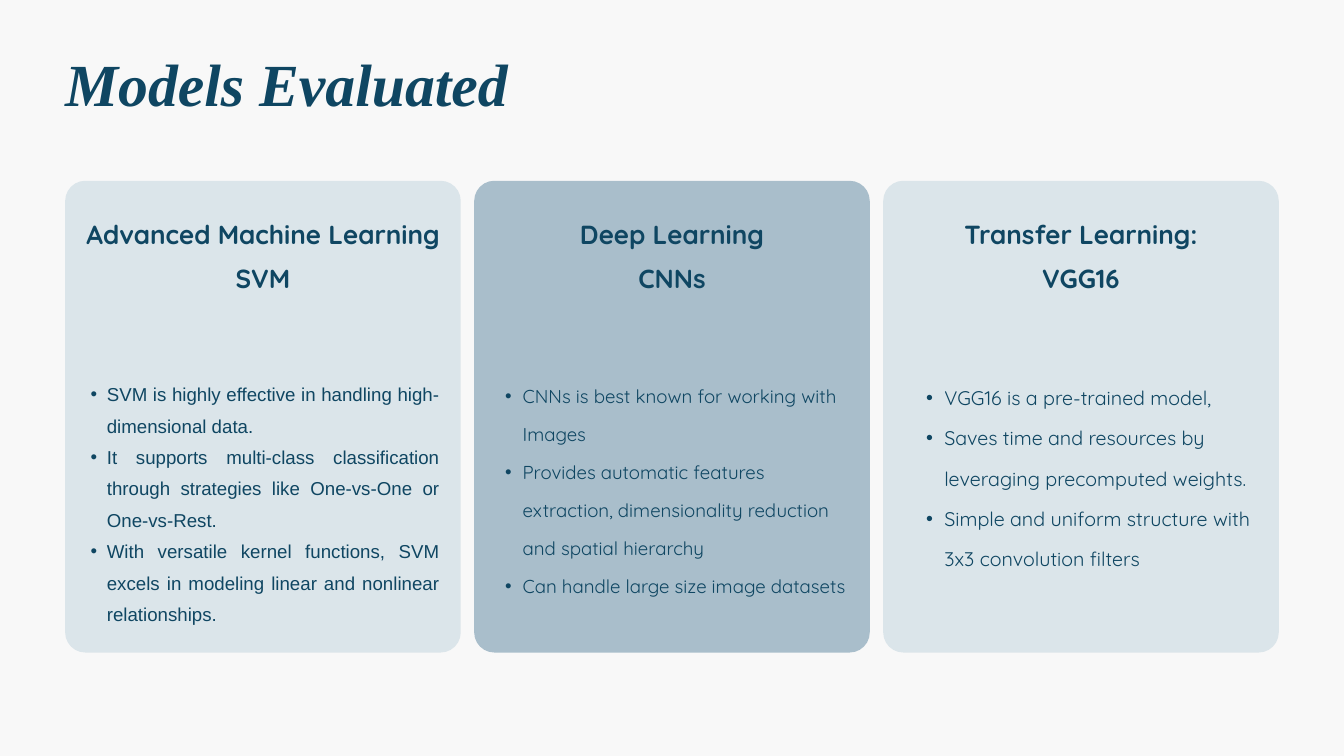
from dataclasses import dataclass

from lxml import etree
from pptx import Presentation
from pptx.dml.color import RGBColor
from pptx.enum.shapes import MSO_SHAPE
from pptx.enum.text import MSO_ANCHOR, MSO_AUTO_SIZE, PP_ALIGN
from pptx.oxml.ns import qn
from pptx.util import Inches, Pt

ROUNDED = MSO_SHAPE.ROUNDED_RECTANGLE
LEFT, CENTER, JUSTIFY = PP_ALIGN.LEFT, PP_ALIGN.CENTER, PP_ALIGN.JUSTIFY
TOP = MSO_ANCHOR.TOP
NO_AUTOFIT = MSO_AUTO_SIZE.NONE

COLORS = {"background": "F8F8F8", "ink": "0F4662", "light": "DBE5EA", "strong": "A9BECB"}

SLIDE_WIDTH, SLIDE_HEIGHT = 20, 11.25
MARGIN, GAP = 0.97, 0.2
CARD_TOP, CARD_HEIGHT = 2.69, 7.02
CARD_RADIUS = 0.3
PADDING = 0.15
HEADING_TOP, HEADING_HEIGHT = 0.38, 1.08
COMPARISON_LAYOUT = 4


@dataclass
class Model:
    heading: list
    points: list
    fill: str
    list_box: tuple  # left, top, width, height from the card's corner
    indent: tuple  # text margin, bullet offset
    font: str = "Quicksand"
    size: float = 20
    spacing: float = 1.7
    align: PP_ALIGN = LEFT


MODELS = [
    Model(
        ["Advanced Machine Learning SVM"],
        ["SVM is highly effective in handling high-dimensional data.",
         "It supports multi-class classification through strategies like One-vs-One or One-vs-Rest.",
         "With versatile kernel functions, SVM excels in modeling linear and nonlinear relationships."],
        "light", (PADDING, 2.88, 5.42, 3.47), (0.47, -0.24), "Arial", 20, 1.4, JUSTIFY),
    Model(
        ["Deep Learning", "CNNs"],
        ["CNNs is best known for working with Images",
         "Provides automatic features extraction, dimensionality reduction and spatial hierarchy",
         "Can handle large size image datasets"],
        "strong", (PADDING, 2.8, 5.58, 3.2), (0.57, -0.26)),
    Model(
        ["Transfer Learning:", "VGG16"],
        ["VGG16 is a pre-trained model,",
         "Saves time and resources by leveraging precomputed weights.",
         "Simple and uniform structure with 3x3 convolution filters"],
        "light", (0.32, 2.81, 5.42, 2.77), (0.59, -0.27), size=21.1),
]


def color(name):
    return RGBColor.from_string(COLORS[name])


def place(shape, box):
    shape.left, shape.top, shape.width, shape.height = (Inches(length) for length in box)


def write(shape, lines, font, size, spacing, align, bold=False, italic=False):
    """Fill a shape with one paragraph per line, without insets or autofit."""
    frame = shape.text_frame
    frame.text = "\n".join(lines)
    frame.word_wrap = True
    frame.auto_size = NO_AUTOFIT
    frame.vertical_anchor = TOP
    frame.margin_left = frame.margin_top = frame.margin_right = frame.margin_bottom = 0
    for paragraph in frame.paragraphs:
        paragraph.alignment = align
        paragraph.line_spacing = spacing
        paragraph.space_before = Pt(0)
        for run in paragraph.runs:
            run.font.name = font
            run.font.size = Pt(size)
            run.font.bold, run.font.italic = bold, italic
            run.font.color.rgb = color("ink")


def add_bullet(paragraph, indent):
    properties = paragraph._p.get_or_add_pPr()
    properties.set("marL", str(Inches(indent[0])))
    properties.set("indent", str(Inches(indent[1])))
    bullet_color = etree.SubElement(properties, qn("a:buClr"))
    etree.SubElement(bullet_color, qn("a:srgbClr"), val=COLORS["ink"])
    etree.SubElement(properties, qn("a:buFont"), typeface="Arial")
    etree.SubElement(properties, qn("a:buChar"), char="•")


def add_panel(slide, box, fill):
    """Add a rounded panel behind the placeholders."""
    panel = slide.shapes.add_shape(ROUNDED, *(Inches(length) for length in box))
    panel.adjustments[0] = CARD_RADIUS / min(box[2:])
    panel.shadow.inherit = False
    panel.fill.solid()
    panel.fill.fore_color.rgb = color(fill)
    panel.line.fill.background()
    slide.shapes._spTree.insert(2, panel._element)


def build_title(title, box):
    place(title, box)
    write(title, ["Models Evaluated"], "Times New Roman", 64, 1.4, LEFT, bold=True, italic=True)


def build_card(slide, body, model, box):
    left, top, width, _ = box
    add_panel(slide, box, model.fill)

    heading = slide.shapes.add_textbox(0, 0, 0, 0)
    place(heading, (left + PADDING, top + HEADING_TOP, width - 2 * PADDING, HEADING_HEIGHT))
    write(heading, model.heading, "Quicksand", 28, 1.4, CENTER, bold=True)

    offset_x, offset_y, list_width, list_height = model.list_box
    place(body, (left + offset_x, top + offset_y, list_width, list_height))
    write(body, model.points, model.font, model.size, model.spacing, model.align)
    for paragraph in body.text_frame.paragraphs:
        add_bullet(paragraph, model.indent)


def main():
    presentation = Presentation()
    presentation.slide_width = Inches(SLIDE_WIDTH)
    presentation.slide_height = Inches(SLIDE_HEIGHT)
    slide = presentation.slides.add_slide(presentation.slide_layouts[COMPARISON_LAYOUT])
    slide.background.fill.solid()
    slide.background.fill.fore_color.rgb = color("background")

    title, *bodies, spare = slide.placeholders
    spare._element.getparent().remove(spare._element)

    build_title(title, (MARGIN, 0.27, 8.88, 1.19))
    card_width = (SLIDE_WIDTH - 2 * MARGIN - (len(MODELS) - 1) * GAP) / len(MODELS)
    for column, (body, model) in enumerate(zip(bodies, MODELS)):
        left = MARGIN + column * (card_width + GAP)
        build_card(slide, body, model, (left, CARD_TOP, card_width, CARD_HEIGHT))

    presentation.save("out.pptx")


if __name__ == "__main__":
    main()
